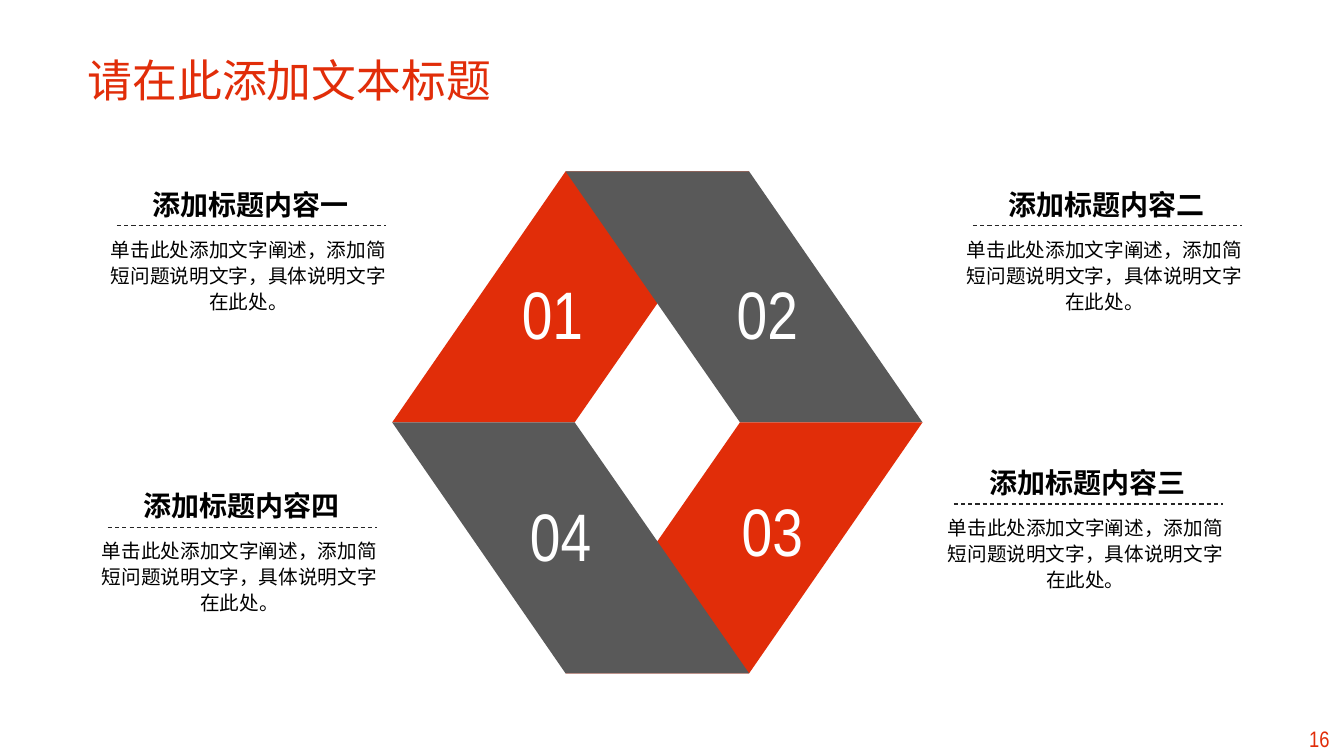
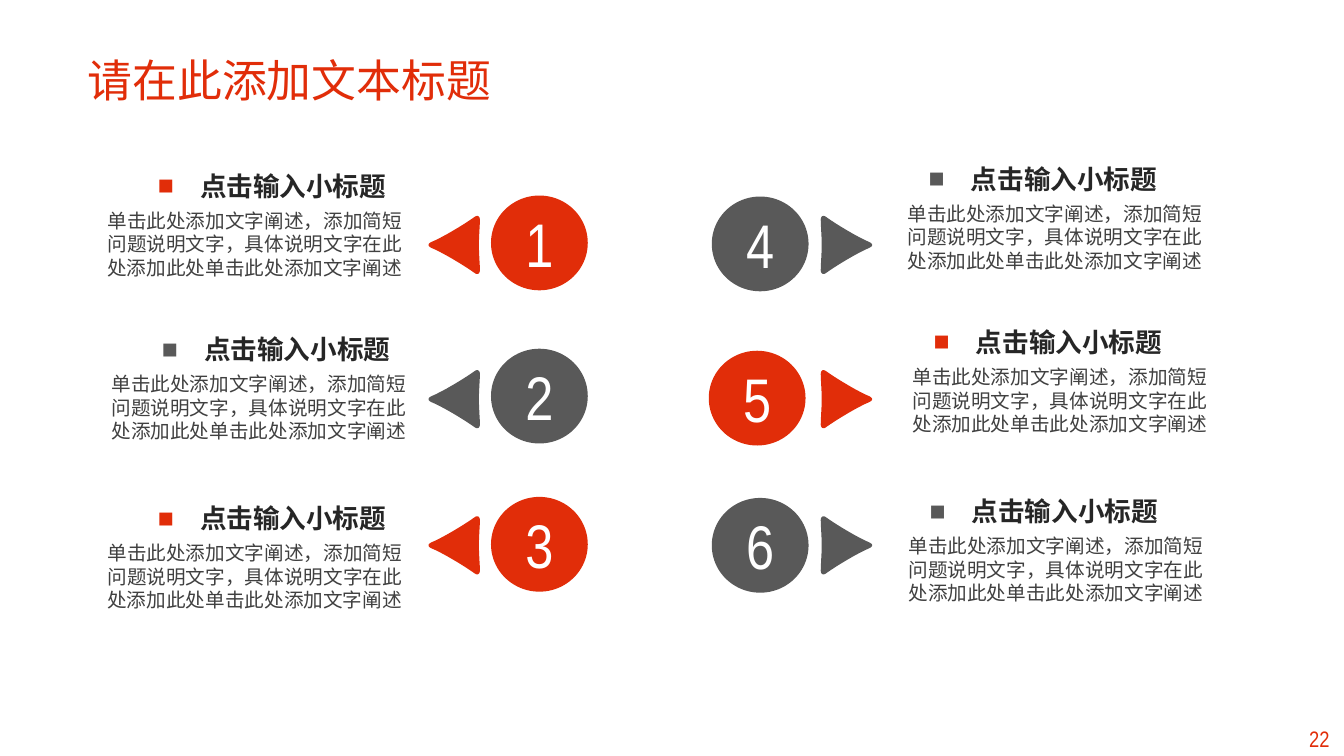
import dataclasses

import lxml.etree
import pptx
import pptx.dml.color
import pptx.enum.dml
import pptx.enum.shapes
import pptx.enum.text
import pptx.oxml.ns
import pptx.util

Inches, Pt = pptx.util.Inches, pptx.util.Pt
RGB = pptx.dml.color.RGBColor.from_string
qn = pptx.oxml.ns.qn
ALIGN = pptx.enum.text.PP_ALIGN


@dataclasses.dataclass(frozen=True)
class Theme:
    red: str = "E12D09"
    grey: str = "595959"
    white: str = "FFFFFF"
    black: str = "000000"
    heading: str = "262626"
    body: str = "404040"
    cjk: str = "Noto Sans CJK SC"
    digits: str = "Arial Narrow"
    latin: str = "Calibri"
    title_size: int = 32
    number_size: int = 48
    circle_size: int = 44
    heading_size: int = 20
    point_size: int = 19
    body_size: int = 14
    page_size: int = 16


theme = Theme()


def write(shape, text, size, color, font, align=ALIGN.CENTER, bold=False,
          margins=None, spacing=None, bullet=None):
    """Fill a shape with one paragraph; margins is (sides, top and bottom)."""
    frame = shape.text_frame
    frame.word_wrap = True
    if margins:
        frame.margin_left = frame.margin_right = Inches(margins[0])
        frame.margin_top = frame.margin_bottom = Inches(margins[1])
    paragraph = frame.paragraphs[0]
    paragraph.text = text
    paragraph.alignment = align
    if spacing:
        paragraph.line_spacing = spacing
    if bullet:
        props = paragraph._p.get_or_add_pPr()
        props.set("marL", str(Inches(0.42)))
        props.set("indent", str(-Inches(0.42)))
        bullet_color = lxml.etree.SubElement(props, qn("a:buClr"))
        lxml.etree.SubElement(bullet_color, qn("a:srgbClr"), val=bullet)
        lxml.etree.SubElement(props, qn("a:buFont"), typeface="Arial")
        lxml.etree.SubElement(props, qn("a:buChar"), char="■")
    paragraph.font.size = Pt(size)
    paragraph.font.bold = bold
    paragraph.font.color.rgb = RGB(color)
    paragraph.font.name = font
    lxml.etree.SubElement(paragraph.font._element, qn("a:ea"), typeface=theme.cjk)


def paint(shape, color):
    shape.shadow.inherit = False
    shape.fill.solid()
    shape.fill.fore_color.rgb = RGB(color)
    shape.line.fill.background()


prs = pptx.Presentation()
prs.slide_width, prs.slide_height = Inches(13.33), Inches(7.5)

# Shared title and page number
slides = []
for page in ("16", "22"):
    slide = prs.slides.add_slide(prs.slide_layouts[6])
    title = slide.shapes.add_textbox(Inches(0.77), Inches(0.47), Inches(5.11), Inches(0.64))
    write(title, "请在此添加文本标题", theme.title_size, theme.red, theme.cjk, ALIGN.LEFT)
    page_number = slide.shapes.add_textbox(Inches(12.81), Inches(7.14), Inches(0.55), Inches(0.37))
    write(page_number, page, theme.page_size, theme.red, theme.digits)
    slides.append(slide)
ring_slide, points_slide = slides

# Slide 1: a ring of four bands, mirrored around its centre
shapes = ring_slide.shapes
center_x, center_y = 6.52, 4.19
band = [(-0.82, 0), (0.91, -2.49), (-0.91, -2.49), (-2.63, 0)]
# number, mirror x, mirror y, colour, number position, heading, body position
ring = [
    ("01", 1, 1, theme.red, (5.01, 2.65), "添加标题内容一", (1.01, 2.33)),
    ("02", -1, 1, theme.grey, (7.14, 2.65), "添加标题内容二", (9.5, 2.33)),
    ("03", -1, -1, theme.red, (7.19, 4.81), "添加标题内容三", (9.31, 5.09)),
    ("04", 1, -1, theme.grey, (5.09, 4.85), "添加标题内容四", (0.92, 5.32)),
]
for number, flip_x, flip_y, color, (number_x, number_y), heading, (x, y) in ring:
    corners = [(Inches(center_x + flip_x * dx), Inches(center_y + flip_y * dy)) for dx, dy in band]
    outline = shapes.build_freeform(*corners[0])
    outline.add_line_segments(corners[1:], close=True)
    paint(outline.convert_to_shape(), color)

    number_box = shapes.add_textbox(Inches(number_x), Inches(number_y), Inches(0.94), Inches(0.91))
    write(number_box, number, theme.number_size, theme.white, theme.digits)
    heading_box = shapes.add_textbox(Inches(x + 0.33), Inches(y - 0.47), Inches(2.29), Inches(0.34))
    write(heading_box, heading, theme.heading_size, theme.black, theme.cjk, bold=True, margins=(0, 0))
    body_box = shapes.add_textbox(Inches(x), Inches(y), Inches(2.91), Inches(0.8))
    write(body_box, "单击此处添加文字阐述，添加简短问题说明文字，具体说明文字在此处。",
          theme.body_size, theme.black, theme.cjk, margins=(0, 0), spacing=Pt(18.7))

    rule_y = Inches(y - 0.09)
    rule = shapes.add_connector(pptx.enum.shapes.MSO_CONNECTOR.STRAIGHT,
                                Inches(x + 0.15), rule_y, Inches(x + 2.82), rule_y)
    rule.line.color.rgb = RGB(theme.heading)
    rule.line.width = Pt(0.75)
    rule.line.dash_style = pptx.enum.dml.MSO_LINE.DASH
    lxml.etree.SubElement(rule._element.spPr, qn("a:effectLst"))

# Slide 2: six numbered points, each with a rounded arrowhead
shapes = points_slide.shapes
# Bézier curves of one half of the arrowhead, from its tip to the middle of its back
curves = [
    ((0.51, 0), (0.51, 0.01), (0.5, 0.02), (0.48, 0.03)),
    ((0.48, 0.03), (0.38, 0.07), (0.16, 0.2), (0.05, 0.28)),
    ((0.05, 0.28), (0.02, 0.3), (0, 0.28), (0, 0.25)),
    ((0, 0.25), (0, 0.2), (0.01, 0.08), (0.01, 0)),
]
steps = 8
half = []
for curve in curves:
    for step in range(steps):
        t = step / steps
        weights = ((1 - t) ** 3, 3 * t * (1 - t) ** 2, 3 * t ** 2 * (1 - t), t ** 3)
        half.append(tuple(sum(w * p[axis] for w, p in zip(weights, curve)) for axis in (0, 1)))
arrowhead = half + [(dx, -dy) for dx, dy in reversed(half[1:])]

# back of the arrowhead, its direction, shift of body against heading, alignment
left = (4.76, -1, -0.3, ALIGN.RIGHT)
right = (8.14, 1, -0.21, ALIGN.LEFT)
# number, side, colour, circle position, arrowhead middle, heading position
points = [
    ("1", left, theme.red, (4.87, 1.94), 2.43, (1.06, 1.62)),
    ("2", left, theme.grey, (4.87, 3.46), 3.96, (1.1, 3.24)),
    ("3", left, theme.red, (4.87, 4.93), 5.41, (1.06, 4.92)),
    ("4", right, theme.grey, (7.06, 1.95), 2.43, (9.04, 1.55)),
    ("5", right, theme.red, (7.03, 3.48), 3.96, (9.09, 3.17)),
    ("6", right, theme.grey, (7.06, 4.94), 5.41, (9.05, 4.85)),
]
for number, side, color, (circle_x, circle_y), middle, (x, y) in points:
    back, direction, body_shift, align = side
    circle = shapes.add_shape(pptx.enum.shapes.MSO_SHAPE.OVAL, Inches(circle_x), Inches(circle_y),
                              Inches(0.96), Inches(0.94))
    paint(circle, color)
    circle.text_frame.vertical_anchor = pptx.enum.text.MSO_ANCHOR.MIDDLE
    write(circle, number, theme.circle_size, theme.white, theme.digits)

    corners = [(Inches(back + direction * dx), Inches(middle + dy)) for dx, dy in arrowhead]
    outline = shapes.build_freeform(*corners[0])
    outline.add_line_segments(corners[1:], close=True)
    paint(outline.convert_to_shape(), color)

    heading_box = shapes.add_textbox(Inches(x), Inches(y), Inches(2.94), Inches(0.42))
    write(heading_box, "点击输入小标题", theme.point_size, theme.heading, theme.latin, align,
          bold=True, margins=(0.17, 0), spacing=1.2, bullet=color)
    body_box = shapes.add_textbox(Inches(x + body_shift), Inches(y + 0.45), Inches(3.4), Inches(0.82))
    write(body_box, "单击此处添加文字阐述，添加简短问题说明文字，具体说明文字在此处添加此处单击此处添加文字阐述",
          theme.body_size, theme.body, theme.cjk, align, margins=(0.17, 0))

prs.save("out.pptx")
